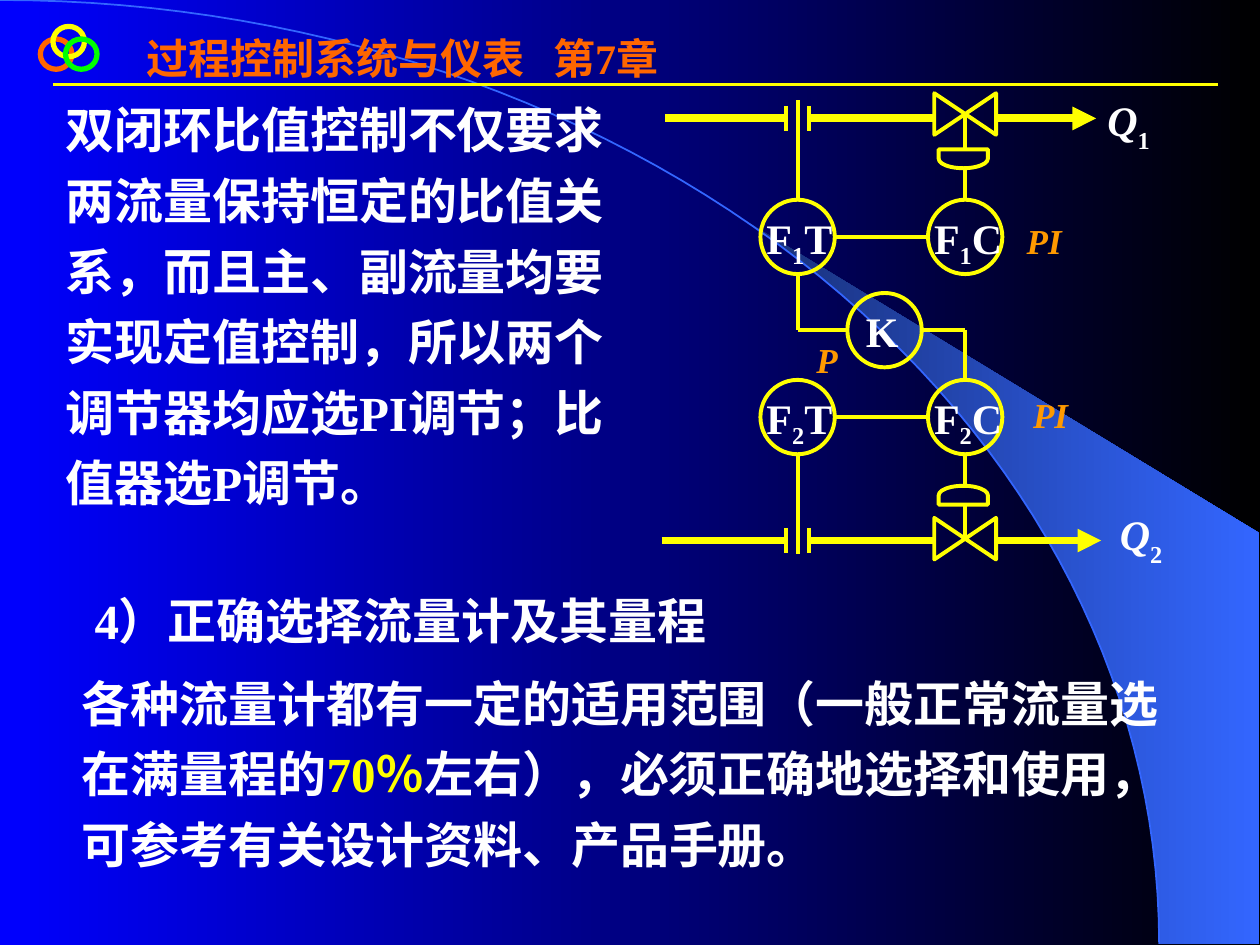
import math

import pptx
import pptx.dml.color
import pptx.enum.shapes
import pptx.enum.text
import pptx.oxml
import pptx.oxml.ns
import pptx.util
from pptx.util import Inches

SHAPE = pptx.enum.shapes.MSO_SHAPE
ALIGN = pptx.enum.text.PP_ALIGN
ANCHOR = pptx.enum.text.MSO_ANCHOR
YELLOW, WHITE, ORANGE, AMBER, BLUE = "FFFF00", "FFFFFF", "FF6600", "FF9900", "3366FF"

TITLE = "过程控制系统与仪表\t第7章"
TITLE_TAB = 3.23
REASON = [[("双闭环比值控制不仅要求两流量保持恒定的比值关系，而且主、副流量均要实现定值控制，"
            "所以两个调节器均应选PI调节；比值器选P调节。", WHITE)]]
METER_CHOICE = [
    [("4）正确选择流量计及其量程", WHITE)],
    [("各种流量计都有一定的适用范围（一般正常流量选在满量程的", WHITE), ("70％", YELLOW),
     ("左右），必须正确地选择和使用，可参考有关设计资料、产品手册。", WHITE)],
]
RINGS = [(0.32, 0.31, ORANGE), (0.42, 0.21, YELLOW), (0.52, 0.31, "00FF00")]

SENSOR_X, VALVE_X, RATIO_X, RATIO_Y = 6.33, 7.66, 7.02, 2.62
RADIUS = 0.295
LOOPS = [
    {"number": "1", "pipe": 0.94, "circle": 1.88, "side": -1, "start": 5.28, "end": 8.7,
     "flow": (8.69, 0.7), "tap_end": 0.79},
    {"number": "2", "pipe": 4.29, "circle": 3.31, "side": 1, "start": 5.25, "end": 8.74,
     "flow": (8.79, 3.99), "tap_end": 4.4},
]
ACTIONS = [("PI", 8.05, 1.63), ("P", 6.38, 2.57), ("PI", 8.1, 3.01)]


def rgb(value):
    return pptx.dml.color.RGBColor.from_string(value)


def set_gradient(fill, start, end):
    fill.gradient()
    fill.gradient_angle = 0
    for stop, color, position in zip(fill.gradient_stops, (start, end), (0, 1)):
        stop.color.rgb = rgb(color)
        stop.position = position


def set_font(font, size, color, italic=False):
    font.name, font.size = "Times New Roman", pptx.util.Pt(size)
    font.bold, font.italic = True, italic
    font.color.rgb = rgb(color)


def add_child(parent, tag, **attributes):
    child = pptx.oxml.parse_xml(f"<a:{tag} {pptx.oxml.ns.nsdecls('a')}/>")
    for name, value in attributes.items():
        child.set(name, value)
    parent.append(child)
    return child


def add_outline(slide, kind, left, top, width, height, color=YELLOW, weight=2.25, rotation=0):
    shape = slide.shapes.add_shape(kind, Inches(left), Inches(top), Inches(width), Inches(height))
    shape.shadow.inherit = False
    shape.fill.background()
    shape.line.color.rgb = rgb(color)
    shape.line.width = pptx.util.Pt(weight)
    shape.rotation = rotation


def add_line(slide, x1, y1, x2, y2, weight=2.25, arrow=False):
    line = slide.shapes.add_connector(pptx.enum.shapes.MSO_CONNECTOR.STRAIGHT,
                                      Inches(x1), Inches(y1), Inches(x2), Inches(y2))
    line.line.color.rgb = rgb(YELLOW)
    line.line.width = pptx.util.Pt(weight)
    if arrow:
        add_child(line.line._get_or_add_ln(), "tailEnd", type="triangle")
    add_child(line._element.spPr, "effectLst")


def add_label(slide, parts, left, top, width, height, size=24, color=WHITE, italic=False,
              drop=25, spacing=1.0):
    box = slide.shapes.add_textbox(Inches(left), Inches(top), Inches(width), Inches(height))
    box.text_frame.word_wrap = True
    paragraph = box.text_frame.paragraphs[0]
    paragraph.line_spacing = spacing
    set_font(paragraph.font, size, color, italic)
    for text in parts:
        run = paragraph.add_run()
        run.text = text
        if text.isdigit():
            run.font.italic = False
            run._r.get_or_add_rPr().set("baseline", str(-drop * 1000))


def place(shape, left, top, width, height, anchor):
    shape.left, shape.top, shape.width, shape.height = map(Inches, (left, top, width, height))
    frame = shape.text_frame
    frame.word_wrap = True
    frame.auto_size = pptx.enum.text.MSO_AUTO_SIZE.NONE
    frame.vertical_anchor = anchor
    shape._element.getparent().append(shape._element)
    return frame


def fill_body(shape, bounds, paragraphs, first_indent=0):
    frame = place(shape, *bounds, ANCHOR.MIDDLE)
    for index, parts in enumerate(paragraphs):
        paragraph = frame.add_paragraph() if index else frame.paragraphs[0]
        paragraph.alignment = ALIGN.LEFT
        paragraph.line_spacing = 1.2
        paragraph.space_before = pptx.util.Pt(7 if index else 0)
        properties = paragraph._p.get_or_add_pPr()
        properties.set("marL", "0")
        properties.set("indent", str(0 if index else Inches(first_indent)))
        add_child(properties, "buNone")
        set_font(paragraph.font, 28, WHITE)
        for text, color in parts:
            run = paragraph.add_run()
            run.text = text
            if color != WHITE:
                run.font.color.rgb = rgb(color)


def arc_points(start, steps=60):
    angles = [math.radians(start * (1 - step / steps)) for step in range(steps + 1)]
    return [(Inches(9.2 * math.cos(a)), Inches(7.49 * (1 - math.sin(a)))) for a in angles]


def add_backdrop(slide):
    set_gradient(slide.background.fill, "0000FF", "000000")
    corners = [(Inches(9.99), Inches(7.49)), (Inches(9.99), Inches(4.23))]
    for points, closed in ((arc_points(50.2) + corners, True), (arc_points(90), False)):
        builder = slide.shapes.build_freeform(*points[0])
        builder.add_line_segments(points[1:], close=closed)
        shape = builder.convert_to_shape()
        shape.shadow.inherit = False
        if closed:
            set_gradient(shape.fill, "182F76", BLUE)
            shape.line.fill.background()
        else:
            shape.fill.background()
            shape.line.color.rgb = rgb(BLUE)
            shape.line.width = pptx.util.Pt(1)
    add_line(slide, 0.42, 0.67, 9.67, 0.67, 1.5)
    for left, top, color in RINGS:
        add_outline(slide, SHAPE.OVAL, left, top, 0.25, 0.24, color, 3)


def add_circle(slide, parts, x, y, text_shift):
    left, top = x - RADIUS, y - RADIUS
    add_outline(slide, SHAPE.OVAL, left, top, 2 * RADIUS, 2 * RADIUS)
    add_label(slide, parts, left + text_shift, top + 0.05, 0.8, 0.45)


def add_loop(slide, loop):
    pipe, circle, side = loop["pipe"], loop["circle"], loop["side"]
    edge = circle + side * RADIUS
    add_line(slide, loop["start"], pipe, SENSOR_X - 0.1, pipe, 4.5)
    add_line(slide, SENSOR_X + 0.1, pipe, VALVE_X - 0.25, pipe, 4.5)
    add_line(slide, VALVE_X + 0.24, pipe, loop["end"], pipe, 4.5, arrow=True)
    for x in (SENSOR_X - 0.09, SENSOR_X + 0.09):
        add_line(slide, x, pipe - 0.1, x, pipe + 0.1)
    add_line(slide, SENSOR_X, edge, SENSOR_X, loop["tap_end"])
    add_line(slide, SENSOR_X + RADIUS, circle, VALVE_X - RADIUS, circle)
    for letter, x in (("T", SENSOR_X), ("C", VALVE_X)):
        add_circle(slide, ("F", loop["number"], letter), x, circle, -0.05)
    valve = 0.905 if side < 0 else 4.275
    actuator = edge + side * 0.325
    rotation = 90 if side < 0 else 270
    add_outline(slide, SHAPE.FLOWCHART_COLLATE, VALVE_X - 0.165, valve - 0.245, 0.33, 0.49, rotation=rotation)
    add_outline(slide, SHAPE.FLOWCHART_DELAY, VALVE_X - 0.09, actuator - 0.195, 0.15, 0.39, rotation=rotation)
    add_line(slide, VALVE_X, edge, VALVE_X, actuator - side * 0.08)
    add_line(slide, VALVE_X, actuator + side * 0.07, VALVE_X, valve)
    add_label(slide, ("Q", loop["number"]), *loop["flow"], 0.7, 0.59, italic=True, drop=30)


def add_ratio_station(slide):
    upper, lower = (loop["circle"] for loop in LOOPS)
    add_line(slide, SENSOR_X, upper + RADIUS, SENSOR_X, RATIO_Y)
    add_line(slide, SENSOR_X, RATIO_Y, RATIO_X - RADIUS, RATIO_Y)
    add_line(slide, RATIO_X + RADIUS, RATIO_Y, VALVE_X, RATIO_Y)
    add_line(slide, VALVE_X, RATIO_Y, VALVE_X, lower - RADIUS)
    add_circle(slide, ("K",), RATIO_X, RATIO_Y, 0.05)


def main():
    """Build the slide on double closed-loop ratio control."""
    presentation = pptx.Presentation()
    presentation.slide_width, presentation.slide_height = Inches(10), Inches(7.5)
    slide = presentation.slides.add_slide(presentation.slide_layouts[3])
    add_backdrop(slide)
    title = place(slide.shapes.title, 1.06, 0.21, 4.49, 0.9, ANCHOR.TOP).paragraphs[0]
    title.alignment = ALIGN.LEFT
    tabs = add_child(title._p.get_or_add_pPr(), "tabLst")
    add_child(tabs, "tab", pos=str(Inches(TITLE_TAB)), algn="l")
    set_font(title.font, 24, ORANGE)
    title.add_run().text = TITLE
    fill_body(slide.placeholders[1], (0.42, 0.65, 4.68, 3.46), REASON)
    for loop in LOOPS:
        add_loop(slide, loop)
    add_ratio_station(slide)
    for text, left, top in ACTIONS:
        add_label(slide, (text,), left, top, 0.49, 0.5, 20, AMBER, italic=True, spacing=1.2)
    fill_body(slide.placeholders[2], (0.55, 4.54, 9.08, 2.44), METER_CHOICE, first_indent=0.1)
    presentation.save("out.pptx")


if __name__ == "__main__":
    main()
